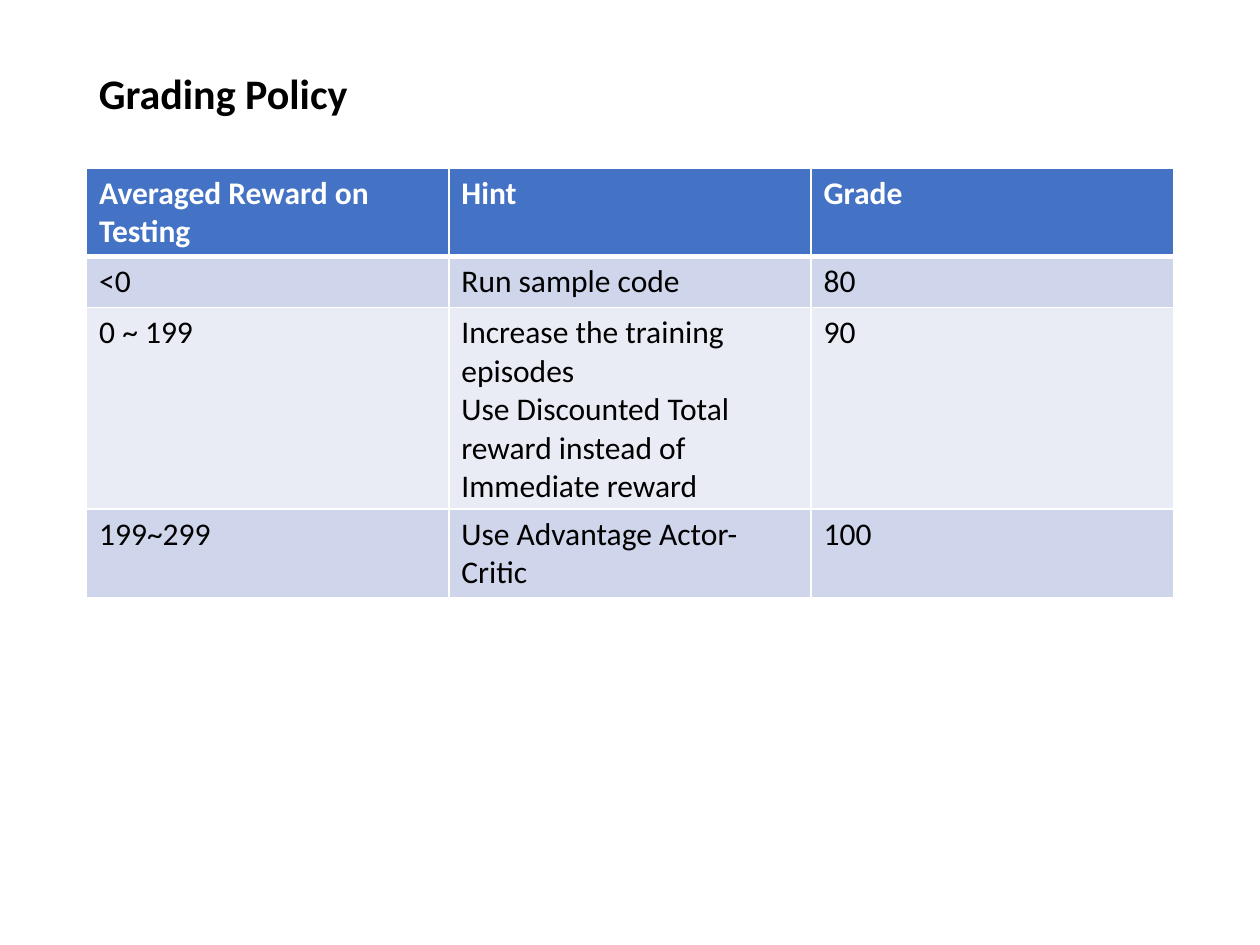
from lxml.etree import SubElement
from pptx import Presentation
from pptx.dml.color import RGBColor
from pptx.enum.text import MSO_ANCHOR
from pptx.oxml.ns import qn
from pptx.util import Pt

# Content
TITLE = "Grading Policy"
ROWS = [
    ("Averaged Reward on Testing", "Hint", "Grade"),
    ("<0", "Run sample code", "80"),
    ("0 ~ 199",
     "Increase the training episodes\n"
     "Use Discounted Total reward instead of Immediate reward", "90"),
    ("199~299", "Use Advantage Actor-Critic", "100"),
]

# Look
FONT = "Calibri"
BLACK = RGBColor(0x00, 0x00, 0x00)
WHITE = RGBColor(0xFF, 0xFF, 0xFF)
BLUE = RGBColor(0x44, 0x72, 0xC4)
BANDS = [RGBColor(0xE9, 0xEB, 0xF5), RGBColor(0xCF, 0xD5, 0xEA)]

# Layout, in points
LEFT, WIDTH = 49.5, 621
ROW = 29.2


def style(par, size, color, bold):
    for run in par.runs:
        font = run.font
        font.name, font.size, font.bold = FONT, Pt(size), bold
        font.color.rgb = color


def border(cell, side, width):
    line = SubElement(cell._tc.get_or_add_tcPr(), qn("a:" + side),
                      w=str(Pt(width)))
    fill = SubElement(line, qn("a:solidFill"))
    SubElement(fill, qn("a:srgbClr"), val=str(WHITE))


deck = Presentation()
deck.slide_width, deck.slide_height = Pt(720), Pt(540)
slide = deck.slides.add_slide(deck.slide_layouts[6])

# Title
box = slide.shapes.add_textbox(Pt(LEFT), Pt(28.75), Pt(WIDTH), Pt(52))
frame = box.text_frame
frame.word_wrap = True
frame.vertical_anchor = MSO_ANCHOR.MIDDLE
frame.text = TITLE
frame.paragraphs[0].line_spacing = 0.9
style(frame.paragraphs[0], 24, BLACK, True)

# Grading table
table = slide.shapes.add_table(
    len(ROWS), len(ROWS[0]), Pt(LEFT), Pt(96),
    Pt(WIDTH), Pt(ROW * len(ROWS))).table
for r, row in enumerate(ROWS):
    head = r == 0
    for c, text in enumerate(row):
        cell = table.cell(r, c)
        cell.text_frame.text = text
        for par in cell.text_frame.paragraphs:
            style(par, 18, WHITE if head else BLACK, head)
        for side in ("lnL", "lnR", "lnT", "lnB"):
            thick = (head and side == "lnB") or (r == 1 and side == "lnT")
            border(cell, side, 3 if thick else 1)
        cell.fill.solid()
        cell.fill.fore_color.rgb = BLUE if head else BANDS[r % 2]

deck.save("out.pptx")
